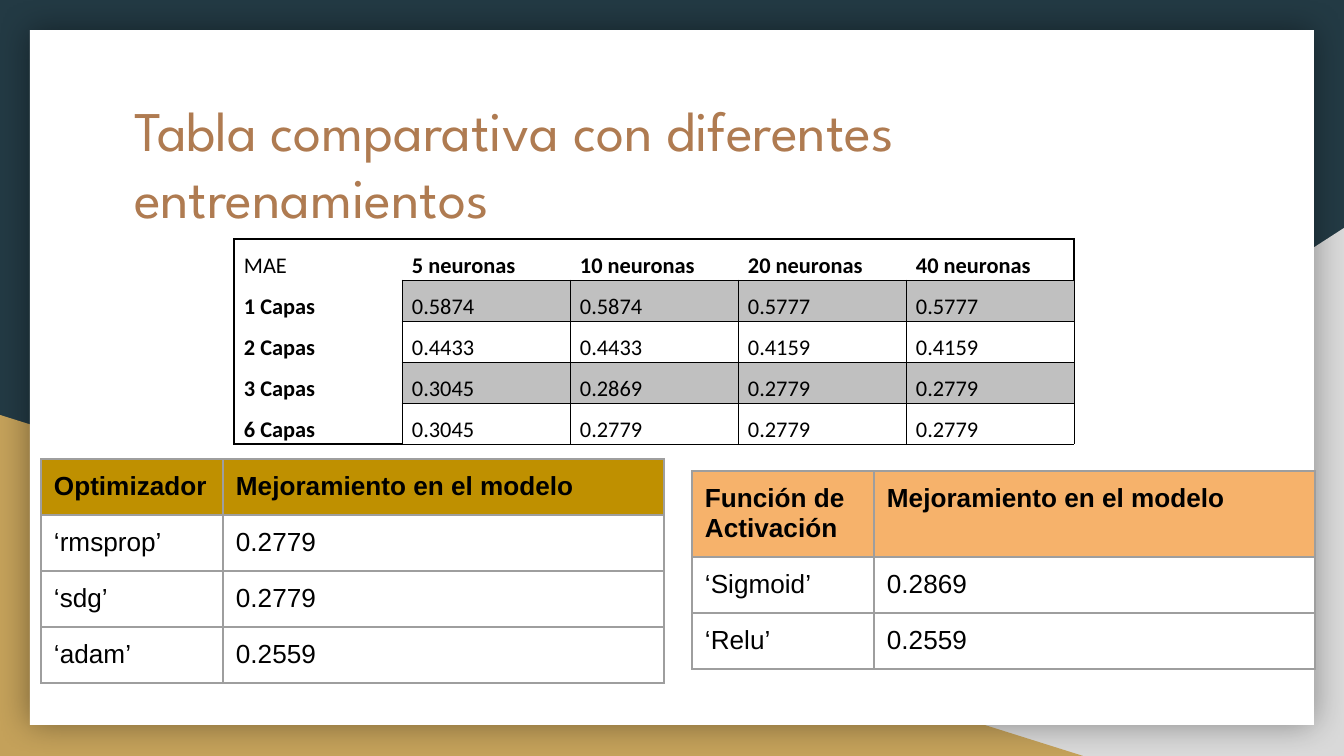
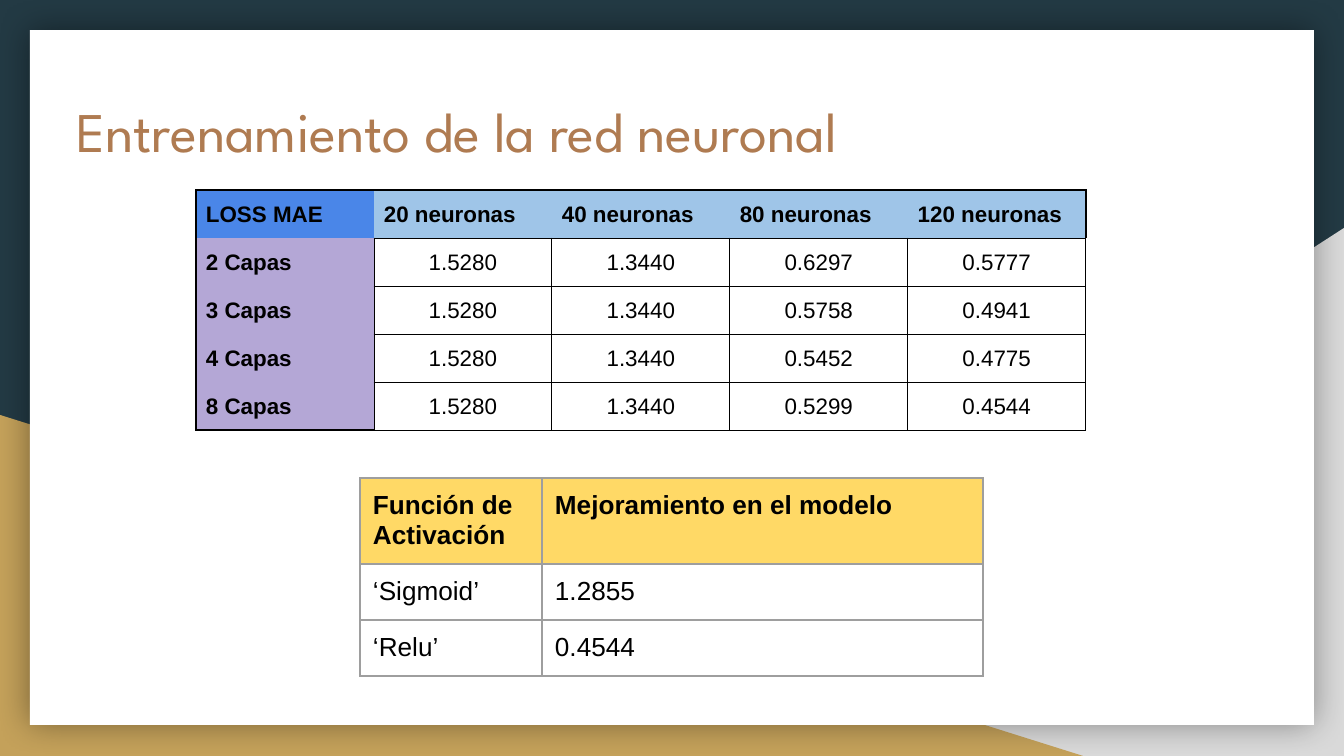
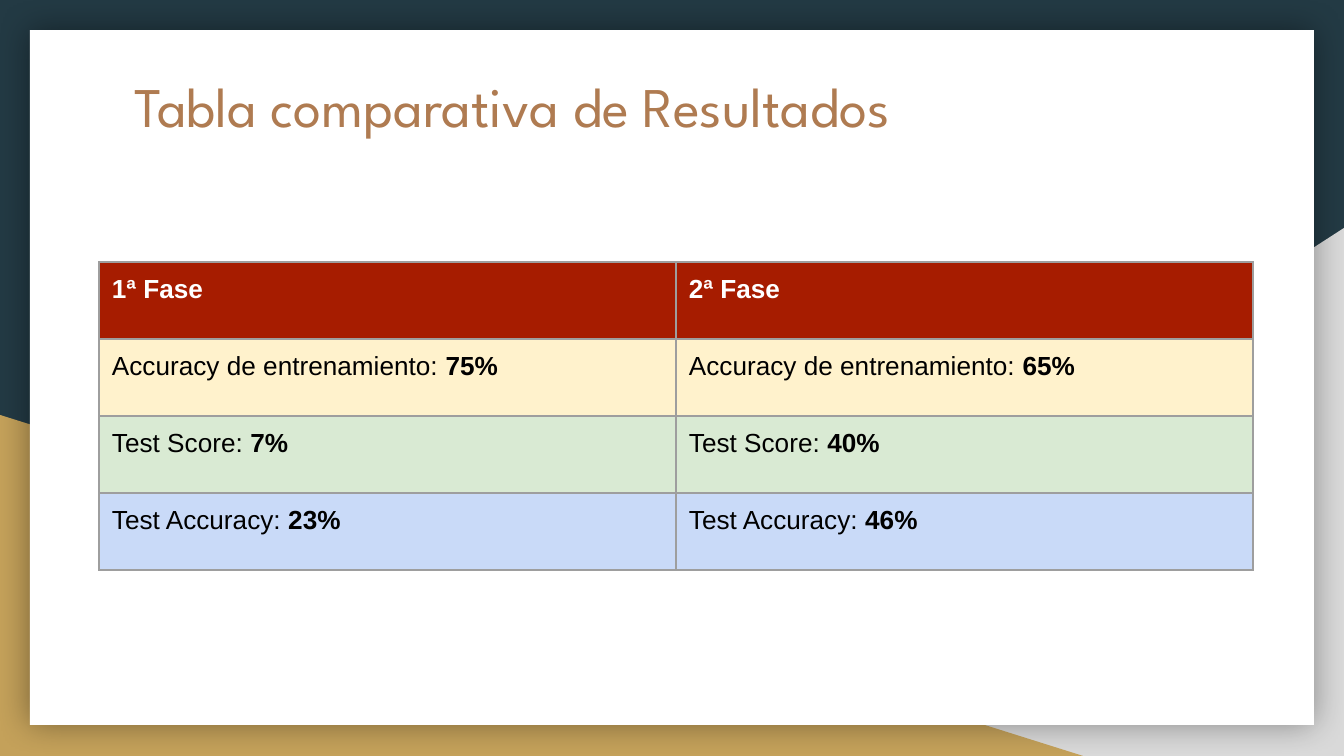
"""Build three slides of tables comparing neural network trainings."""
import pptx
import pptx.dml.color
import pptx.enum.shapes
import pptx.enum.text
import pptx.oxml
import pptx.oxml.ns
import pptx.util

EMU_PER_PX = 914400 / 134.4
COLORS = {
    "night": "233A44", "silver": "D9D9D9", "sand": "C4A15A", "white": "FFFFFF",
    "copper": "AF7B51", "black": "000000", "line": "9E9E9E", "gray": "C0C0C0",
    "mustard": "BF9000", "orange": "F6B26B", "yellow": "FFD966",
    "blue": "4A86E8", "sky": "9FC5E8", "lilac": "B4A7D6",
    "red": "A61C00", "cream": "FFF2CC", "mint": "D9EAD3", "ice": "C9DAF8",
}
ALIGN = pptx.enum.text.PP_ALIGN
TITLE_FRAME = {
    "word_wrap": True, "auto_size": pptx.enum.text.MSO_AUTO_SIZE.NONE,
    "vertical_anchor": pptx.enum.text.MSO_ANCHOR.TOP,
}
TITLE_FONT = {"name": "League Spartan", "size": pptx.util.Pt(30), "bold": False}
LIST_COLUMNS = [182, 441]
ACTIVATION_ROWS = [86, 56, 56]
ACTIVATION_HEADER = ["Función de Activación", "Mejoramiento en el modelo"]


def px(length):
    return pptx.util.Emu(round(length * EMU_PER_PX))


def rgb(name):
    return pptx.dml.color.RGBColor.from_string(COLORS[name])


def apply_format(target, values):
    for name, value in values.items():
        setattr(target, name, value)


def margins(horizontal, vertical):
    return {
        "margin_left": px(horizontal), "margin_right": px(horizontal),
        "margin_top": px(vertical), "margin_bottom": px(vertical),
    }


def paint(fill, color):
    if color is None:
        fill.background()
    else:
        fill.solid()
        fill.fore_color.rgb = rgb(color)


def add_panel(slide, kind, box, color):
    shape = slide.shapes.add_shape(kind, *map(px, box))
    paint(shape.fill, color)
    shape.line.fill.background()
    shape.shadow.inherit = False
    return shape


def add_glow(shape):
    shadow = pptx.oxml.parse_xml(
        f'<a:outerShdw {pptx.oxml.ns.nsdecls("a")} blurRad="{pptx.util.Pt(18)}" '
        f'dist="0" algn="ctr" rotWithShape="0"><a:srgbClr val="{COLORS["black"]}">'
        '<a:alpha val="40000"/></a:srgbClr></a:outerShdw>')
    shape.element.spPr.find(pptx.oxml.ns.qn("a:effectLst")).append(shadow)


def build_backdrop(slide):
    layout = slide.slide_layout
    for placeholder in list(layout.placeholders)[1:]:
        layout.shapes.element.remove(placeholder.element)
    paint(layout.background.fill, "night")
    kinds = pptx.enum.shapes.MSO_SHAPE
    right = add_panel(slide, kinds.RIGHT_TRIANGLE, (527, 228, 817, 528), "silver")
    right.element.spPr.xfrm.set("flipH", "1")
    left = add_panel(slide, kinds.RIGHT_TRIANGLE, (0, 415, 1083, 341), "sand")
    card = add_panel(slide, kinds.RECTANGLE, (30, 30, 1284, 695), "white")
    add_glow(card)
    for position, shape in enumerate((right, left, card), start=2):
        layout.shapes.element.insert(position, shape.element)


def set_title(slide, text, left, top):
    title = slide.shapes.title
    apply_format(title, {"left": px(left), "top": px(top),
                         "width": px(1103), "height": px(140)})
    apply_format(title.text_frame, {**TITLE_FRAME, **margins(13, 13)})
    title.text_frame.text = text
    paragraph = title.text_frame.paragraphs[0]
    paragraph.alignment = ALIGN.LEFT
    apply_format(paragraph.font, TITLE_FONT)
    paragraph.font.color.rgb = rgb("copper")


def set_borders(cell, widths, color):
    properties = cell._tc.get_or_add_tcPr()
    for side, width in zip("LRTB", widths):
        fill = (f'<a:solidFill><a:srgbClr val="{COLORS[color]}"/></a:solidFill>'
                if width else "<a:noFill/>")
        properties.append(pptx.oxml.parse_xml(
            f'<a:ln{side} {pptx.oxml.ns.nsdecls("a")} w="{pptx.util.Pt(width)}">'
            f'{fill}</a:ln{side}>'))


def write_cell(cell, text, font, color, bold, paragraph_format):
    """Write the text, with any part up to a colon kept in regular weight."""
    paragraph = cell.text_frame.paragraphs[0]
    apply_format(paragraph, paragraph_format)
    label, colon, value = text.rpartition(": ")
    for part, weight in ((label + colon, False), (value, bold)):
        if part:
            run = paragraph.add_run()
            run.text = part
            apply_format(run.font, {**font, "bold": weight})
            run.font.color.rgb = rgb(color)


def add_grid(slide, left, top, columns, heights):
    frame = slide.shapes.add_table(len(heights), len(columns), px(left), px(top),
                                   px(sum(columns)), px(sum(heights)))
    table = frame.table
    apply_format(table, {"first_row": False, "horz_banding": False})
    for column, width in zip(table.columns, columns):
        column.width = px(width)
    for row, height in zip(table.rows, heights):
        row.height = px(height)
    return table


def matrix_borders(row, column, last):
    """Give left, right, top and bottom widths of a cell in a square matrix."""
    if row == 0:
        return (0 if column else 1, 1 if column == last else 0,
                1, 0.5 if column else 0)
    if column == 0:
        return 1, 0.5, 0, 1 if row == last else 0
    return (0.5,) * 4


def add_matrix(slide, left, top, column_width, row_height, rows, fills,
               font_name, alignment):
    table = add_grid(slide, left, top, [column_width] * len(rows[0]),
                     [row_height] * len(rows))
    font = {"name": font_name, "size": pptx.util.Pt(12)}
    for row, texts in enumerate(rows):
        for column, text in enumerate(texts):
            cell = table.cell(row, column)
            inner = row > 0 and column > 0
            bold = text != "MAE" and not inner
            apply_format(cell, margins(10, 0))
            set_borders(cell, matrix_borders(row, column, len(rows) - 1), "black")
            paint(cell.fill, fills[row][min(column, 1)])
            write_cell(cell, text, font, "black", bold, {
                "line_spacing": 1.5, "alignment": alignment if inner else ALIGN.LEFT})


def add_list_table(slide, left, top, columns, heights, rows, fills,
                   header_color="black", bold_values=False):
    table = add_grid(slide, left, top, columns, heights)
    font = {"name": "Arial", "size": pptx.util.Pt(14)}
    for row, texts in enumerate(rows):
        for column, text in enumerate(texts):
            cell = table.cell(row, column)
            apply_format(cell, margins(13, 13))
            set_borders(cell, (0.75,) * 4, "line")
            paint(cell.fill, fills[row])
            write_cell(cell, text, font, "black" if row else header_color,
                       row == 0 or bold_values, {"alignment": ALIGN.LEFT})


def build_comparison(slide):
    set_title(slide, "Tabla comparativa con diferentes entrenamientos", 121, 82)
    add_matrix(slide, 234, 239, 168, 41, [
        ["MAE", "5 neuronas", "10 neuronas", "20 neuronas", "40 neuronas"],
        ["1 Capas", "0.5874", "0.5874", "0.5777", "0.5777"],
        ["2 Capas", "0.4433", "0.4433", "0.4159", "0.4159"],
        ["3 Capas", "0.3045", "0.2869", "0.2779", "0.2779"],
        ["6 Capas", "0.3045", "0.2779", "0.2779", "0.2779"],
    ], [("white", "white")] + [("white", "gray"), ("white", None)] * 2,
        "Calibri", ALIGN.LEFT)
    add_list_table(slide, 41, 459, LIST_COLUMNS, [56] * 4, [
        ["Optimizador", "Mejoramiento en el modelo"],
        ["‘rmsprop’", "0.2779"],
        ["‘sdg’", "0.2779"],
        ["‘adam’", "0.2559"],
    ], ["mustard", None, None, None])
    add_list_table(slide, 692, 471, LIST_COLUMNS, ACTIVATION_ROWS, [
        ACTIVATION_HEADER, ["‘Sigmoid’", "0.2869"], ["‘Relu’", "0.2559"],
    ], ["orange", None, None])


def build_training(slide):
    set_title(slide, "Entrenamiento de la red neuronal", 63, 83)
    add_matrix(slide, 196, 190, 178, 48, [
        ["LOSS MAE", "20 neuronas", "40 neuronas", "80 neuronas", "120 neuronas"],
        ["2 Capas", "1.5280", "1.3440", "0.6297", "0.5777"],
        ["3 Capas", "1.5280", "1.3440", "0.5758", "0.4941"],
        ["4 Capas", "1.5280", "1.3440", "0.5452", "0.4775"],
        ["8 Capas", "1.5280", "1.3440", "0.5299", "0.4544"],
    ], [("blue", "sky")] + [("lilac", None)] * 4, "Arial", ALIGN.CENTER)
    add_list_table(slide, 360, 478, LIST_COLUMNS, ACTIVATION_ROWS, [
        ACTIVATION_HEADER, ["‘Sigmoid’", "1.2855"], ["‘Relu’", "0.4544"],
    ], ["yellow", None, None])


def build_results(slide):
    set_title(slide, "Tabla comparativa de Resultados", 121, 59)
    add_list_table(slide, 99, 262, [577] * 2, [77] * 4, [
        ["1ª Fase", "2ª Fase"],
        ["Accuracy de entrenamiento: 75%", "Accuracy de entrenamiento: 65%"],
        ["Test Score: 7%", "Test Score: 40%"],
        ["Test Accuracy: 23%", "Test Accuracy: 46%"],
    ], ["red", "cream", "mint", "ice"], header_color="white", bold_values=True)


def main():
    presentation = pptx.Presentation()
    apply_format(presentation, {"slide_width": px(1344), "slide_height": px(756)})
    layout = presentation.slide_layouts[5]
    builders = (build_comparison, build_training, build_results)
    slides = [presentation.slides.add_slide(layout) for _ in builders]
    build_backdrop(slides[0])
    for build, slide in zip(builders, slides):
        build(slide)
    presentation.save("out.pptx")


if __name__ == "__main__":
    main()
